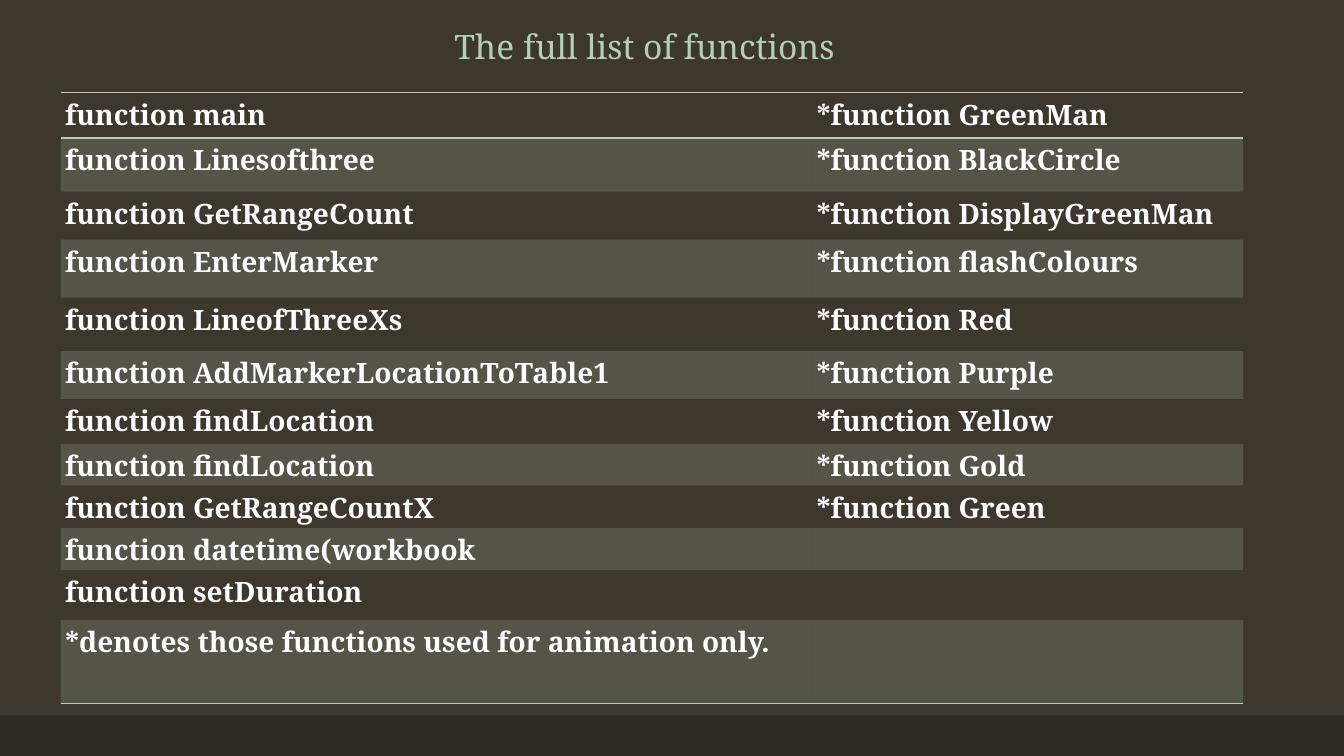
from lxml import etree
from pptx import Presentation
from pptx.dml.color import RGBColor
from pptx.enum.shapes import MSO_SHAPE
from pptx.enum.text import MSO_ANCHOR, PP_ALIGN
from pptx.oxml.ns import qn
from pptx.util import Cm, Pt

RECTANGLE = MSO_SHAPE.RECTANGLE
BOTTOM, CENTER = MSO_ANCHOR.BOTTOM, PP_ALIGN.CENTER
TITLE_ONLY = 5
NO_STYLE = "{2D5ABB26-0587-4C30-8999-92F81FD0307C}"
FONT = "Noto Serif"
BROWN, DARK, SAGE, WHITE = "3D372E", "2E2923", "B2D0B4", "FFFFFF"

COLUMN_WIDTHS = [18.94, 10.86]
ROW_HEIGHTS = [1.15, 1.35, 1.21, 1.46, 1.35, 1.2, 1.14, 1.04, 1.08, 1.06, 1.25, 2.11]
MAIN_FUNCTIONS = ["main", "Linesofthree", "GetRangeCount", "EnterMarker", "LineofThreeXs",
                  "AddMarkerLocationToTable1", "findLocation", "findLocation",
                  "GetRangeCountX", "datetime(workbook", "setDuration"]
ANIMATION_FUNCTIONS = ["GreenMan", "BlackCircle", "DisplayGreenMan", "flashColours",
                       "Red", "Purple", "Yellow", "Gold", "Green"]
FOOTNOTE = "*denotes those functions used for animation only."

CELL_FORMAT = {"margin_left": Cm(0.11), "margin_right": Cm(0.11),
               "margin_top": 0, "margin_bottom": 0}
CELL_PARAGRAPH = {"line_spacing": 1.07, "space_after": Pt(8)}
CELL_FONT = {"name": FONT, "size": Pt(20), "bold": True}
TITLE_PARAGRAPH = {"alignment": CENTER, "line_spacing": 0.9}
TITLE_FONT = {"name": FONT, "size": Pt(24), "bold": False}


def rgb(value):
    return RGBColor.from_string(value)


def set_format(target, values):
    for name, value in values.items():
        setattr(target, name, value)


def write_text(text_frame, text, paragraph_format, font_format, color):
    paragraph = text_frame.paragraphs[0]
    set_format(paragraph, paragraph_format)
    run = paragraph.add_run()
    run.text = text
    set_format(run.font, font_format)
    run.font.color.rgb = rgb(color)


def add_title(slide, text):
    title = slide.shapes.title
    set_format(title, {"left": Cm(7.54), "top": Cm(0.33),
                       "width": Cm(17.4), "height": Cm(1.47)})
    title.text_frame.vertical_anchor = BOTTOM
    write_text(title.text_frame, text, TITLE_PARAGRAPH, TITLE_FONT, SAGE)


def add_band(slide, left, top, width, height, color):
    band = slide.shapes.add_shape(RECTANGLE, left, top, width, height)
    band.shadow.inherit = False
    band.fill.solid()
    band.fill.fore_color.rgb = rgb(color)
    band.line.fill.background()


def add_border(cell, tag, color):
    properties = cell._tc.get_or_add_tcPr()
    line = etree.SubElement(properties, qn(tag), w=str(Pt(1)))
    fill = etree.SubElement(line, qn("a:solidFill"))
    etree.SubElement(fill, qn("a:srgbClr"), val=color)


def fill_cell(cell, color, opacity):
    cell.fill.solid()
    cell.fill.fore_color.rgb = rgb(color)
    color_element = cell._tc.tcPr.find(".//" + qn("a:solidFill") + "[last()]/" + qn("a:srgbClr"))
    for element in cell._tc.tcPr.findall(qn("a:solidFill")):
        color_element = element.find(qn("a:srgbClr"))
    etree.SubElement(color_element, qn("a:alpha"), val=str(opacity * 1000))


def add_function_table(slide, rows):
    frame = slide.shapes.add_table(len(rows), len(COLUMN_WIDTHS), Cm(1.53), Cm(2.33),
                                   Cm(sum(COLUMN_WIDTHS)), Cm(sum(ROW_HEIGHTS)))
    table = frame.table
    table._tbl.tblPr.find(qn("a:tableStyleId")).text = NO_STYLE
    for column, width in zip(table.columns, COLUMN_WIDTHS):
        column.width = Cm(width)
    for row, height in zip(table.rows, ROW_HEIGHTS):
        row.height = Cm(height)

    last = len(rows) - 1
    for row_index, texts in enumerate(rows):
        for column_index, text in enumerate(texts):
            cell = table.cell(row_index, column_index)
            set_format(cell, CELL_FORMAT)
            # Rules frame the heading row and close the table
            if row_index == 0:
                add_border(cell, "a:lnT", SAGE)
            if row_index in (0, last):
                add_border(cell, "a:lnB", SAGE)
            # Every second row is tinted
            if row_index % 2:
                fill_cell(cell, SAGE, 20)
            else:
                cell.fill.background()
            if text:
                write_text(cell.text_frame, text, CELL_PARAGRAPH, CELL_FONT, WHITE)


def function_rows():
    left = [f"function\u00a0{name}" for name in MAIN_FUNCTIONS] + [FOOTNOTE]
    right = [f"*function\u00a0{name}" for name in ANIMATION_FUNCTIONS]
    right += [""] * (len(left) - len(right))
    return list(zip(left, right))


def main():
    presentation = Presentation()
    presentation.slide_width, presentation.slide_height = Cm(33.87), Cm(19.05)
    slide = presentation.slides.add_slide(presentation.slide_layouts[TITLE_ONLY])

    # Background and footer band
    slide.background.fill.solid()
    slide.background.fill.fore_color.rgb = rgb(BROWN)
    add_band(slide, 0, Cm(18.03), presentation.slide_width, Cm(1.02), DARK)

    # Title and list of functions
    add_title(slide, "The full list of functions")
    add_function_table(slide, function_rows())
    presentation.save("out.pptx")


main()
